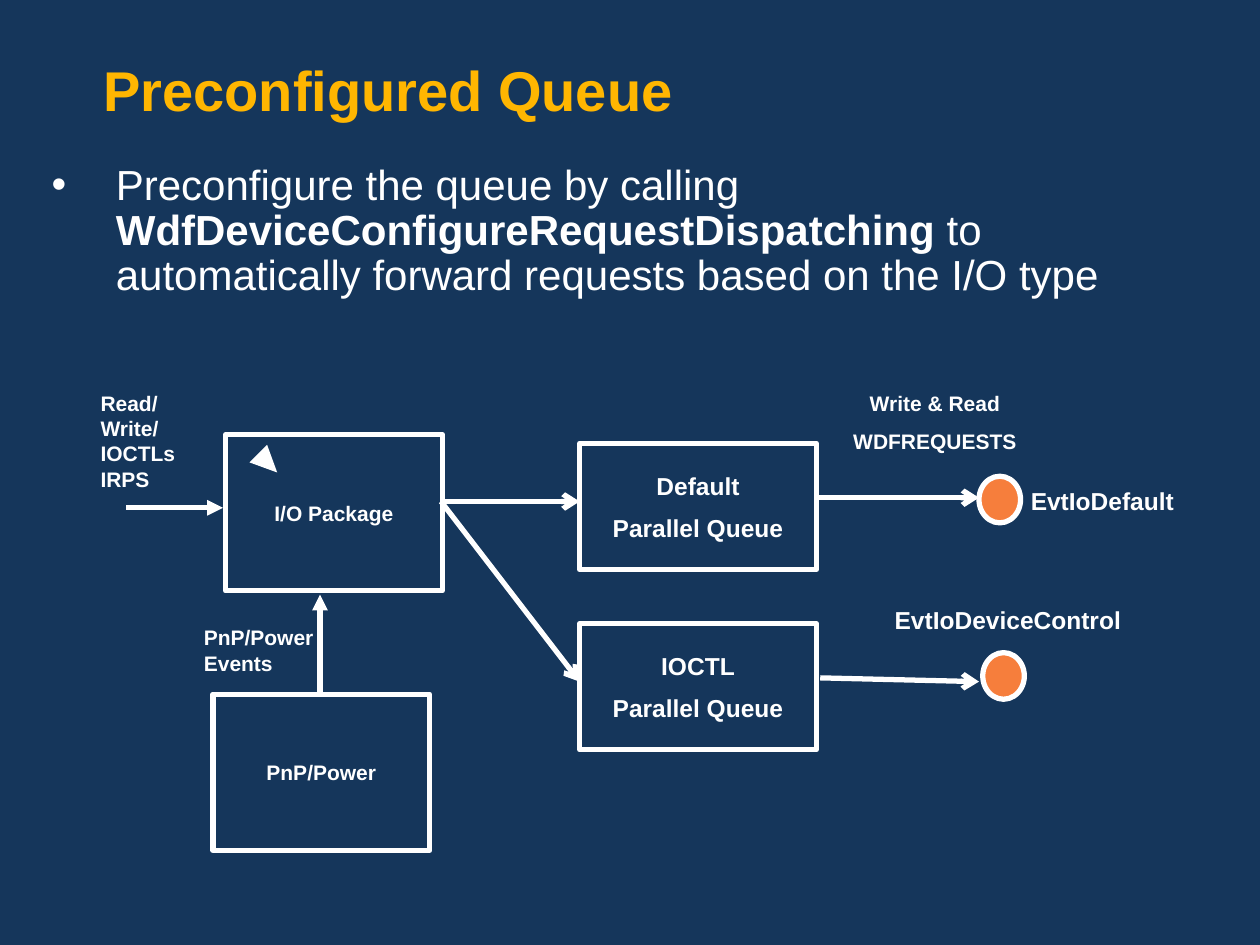
from lxml import etree
from pptx import Presentation
from pptx.dml.color import RGBColor
from pptx.enum.shapes import MSO_CONNECTOR as CONN, MSO_SHAPE as SHAPE
from pptx.enum.text import MSO_ANCHOR as ANCHOR, MSO_AUTO_SIZE as AUTO, PP_ALIGN as ALIGN
from pptx.oxml.ns import qn
from pptx.util import Inches, Pt

COLORS = {"back": "15365B", "title": "FFB601", "ink": "FFFFFF", "callback": "F67E3C"}
FONT = "Arial"
LINE = Pt(3)


def rgb(name):
    return RGBColor.from_string(COLORS[name])


class Deck:
    """Holds the style and the current slide."""

    def __init__(self):
        self.prs = Presentation()
        self.prs.slide_width, self.prs.slide_height = Inches(10), Inches(7.5)
        self.s = self.prs.slides.add_slide(self.prs.slide_layouts[1])
        self.s.background.fill.solid()
        self.s.background.fill.fore_color.rgb = rgb("back")

    def add_text(self, p, text, size, bold=True, color="ink"):
        r = p.add_run()
        r.text = text
        r.font.name, r.font.size, r.font.bold = FONT, Pt(size), bold
        r.font.color.rgb = rgb(color)

    def frame(self, sp, anchor, margins=(0.1, 0.05, 0.1, 0.05)):
        tf = sp.text_frame
        tf.word_wrap, tf.auto_size, tf.vertical_anchor = True, AUTO.NONE, anchor
        tf.margin_left, tf.margin_top, tf.margin_right, tf.margin_bottom = map(Inches, margins)
        return tf

    def place(self, sp, x, y, w, h):
        sp.left, sp.top, sp.width, sp.height = map(Inches, (x, y, w, h))

    def title(self, text, *at):
        sp = self.s.shapes.title
        self.place(sp, *at)
        p = self.frame(sp, ANCHOR.TOP, (0.4, 0.25, 0.4, 0.05)).paragraphs[0]
        p.alignment, p.line_spacing = ALIGN.LEFT, 0.9
        self.add_text(p, text, 32, color="title")

    def bullet(self, parts, *at):
        sp = self.s.placeholders[1]
        self.place(sp, *at)
        p = self.frame(sp, ANCHOR.TOP).paragraphs[0]
        p.line_spacing, p.space_before = 0.9, Pt(0)
        pPr = p._p.get_or_add_pPr()
        pPr.set("marL", str(Inches(0.51)))
        pPr.set("indent", str(-Inches(0.51)))
        etree.SubElement(pPr, qn("a:buChar"), char="•")
        for text, bold in parts:
            self.add_text(p, text, 24, bold)

    def fill_lines(self, tf, lines, size, align):
        for i, line in enumerate(lines):
            p = tf.add_paragraph() if i else tf.paragraphs[0]
            p.alignment = align
            if i:
                p.space_before = Pt(7.5)
            for j, part in enumerate(line.split("\n")):
                if j:
                    p.add_line_break()
                self.add_text(p, part, size)

    def label(self, lines, size, *at, align=ALIGN.CENTER, anchor=ANCHOR.MIDDLE):
        sp = self.s.shapes.add_textbox(*map(Inches, at))
        self.fill_lines(self.frame(sp, anchor), lines, size, align)

    def outline(self, kind, at, fill=None):
        sp = self.s.shapes.add_shape(kind, *map(Inches, at))
        sp.shadow.inherit = False
        if fill:
            sp.fill.solid()
            sp.fill.fore_color.rgb = rgb(fill)
        else:
            sp.fill.background()
        sp.line.color.rgb, sp.line.width = rgb("ink"), LINE
        return sp

    def box(self, lines, size, *at):
        sp = self.outline(SHAPE.RECTANGLE, at)
        self.fill_lines(self.frame(sp, ANCHOR.MIDDLE), lines, size, ALIGN.CENTER)

    def callback(self, x, y):
        self.outline(SHAPE.OVAL, (x, y, 0.33, 0.37), "callback")

    def arrow(self, start, end, head="arrow"):
        c = self.s.shapes.add_connector(CONN.STRAIGHT, *map(Inches, start + end))
        c.line.color.rgb, c.line.width = rgb("ink"), LINE
        spPr = c._element.spPr
        etree.SubElement(spPr.find(qn("a:ln")), qn("a:tailEnd"), type=head)
        etree.SubElement(spPr, qn("a:effectLst"))

    def wedge(self, *points):
        (x, y), *rest = [tuple(map(Inches, pt)) for pt in points]
        builder = self.s.shapes.build_freeform(x, y)
        builder.add_line_segments(rest, close=True)
        sp = builder.convert_to_shape()
        sp.shadow.inherit = False
        sp.fill.solid()
        sp.fill.fore_color.rgb = rgb("ink")
        sp.line.fill.background()


def main():
    d = Deck()
    # Title and bullet
    d.title("Preconfigured Queue", 0.42, 0.25, 9.58, 0.76)
    d.bullet([("Preconfigure the queue by calling ", False),
              ("WdfDeviceConfigureRequestDispatching", True),
              (" to automatically forward requests based on the I/O type", False)],
             0.31, 1.25, 9.49, 1.68)

    # Incoming requests and power events
    d.wedge((2.12, 3.53), (2.2, 3.75), (1.98, 3.67))
    d.box(["I/O Package"], 12, 1.79, 3.45, 1.72, 1.24)
    d.box(["PnP/Power"], 12, 1.69, 5.51, 1.72, 1.24)
    d.label(["Read/Write/\nIOCTLs IRPS"], 12, 0.7, 3.05, 0.8, 0.9,
            align=ALIGN.LEFT, anchor=ANCHOR.TOP)
    d.label(["PnP/Power Events"], 12, 1.52, 4.91, 1.16, 0.5, align=ALIGN.LEFT)
    d.arrow((1, 4.03), (1.77, 4.03), "triangle")
    d.arrow((2.54, 5.51), (2.54, 4.72), "triangle")

    # Queues fed by the I/O package
    for name, top, end_y in (("Default", 3.52, 3.98), ("IOCTL", 4.95, 5.41)):
        d.box([name, "Parallel Queue"], 14, 4.6, top, 1.88, 1)
        d.arrow((3.5, 3.98), (4.6, end_y))

    # Event callbacks
    d.callback(7.77, 3.78)
    d.callback(7.8, 5.18)
    d.arrow((6.48, 3.95), (7.77, 3.95))
    d.arrow((6.51, 5.38), (7.77, 5.41))
    d.label(["Write & Read", "WDFREQUESTS"], 12, 6.51, 3.05, 1.82, 0.61, anchor=ANCHOR.TOP)
    d.label(["EvtIoDefault"], 14, 8, 3.8, 1.5, 0.34)
    d.label(["EvtIoDeviceControl"], 14, 6.9, 4.75, 2.2, 0.34)
    d.prs.save("out.pptx")


if __name__ == "__main__":
    main()
